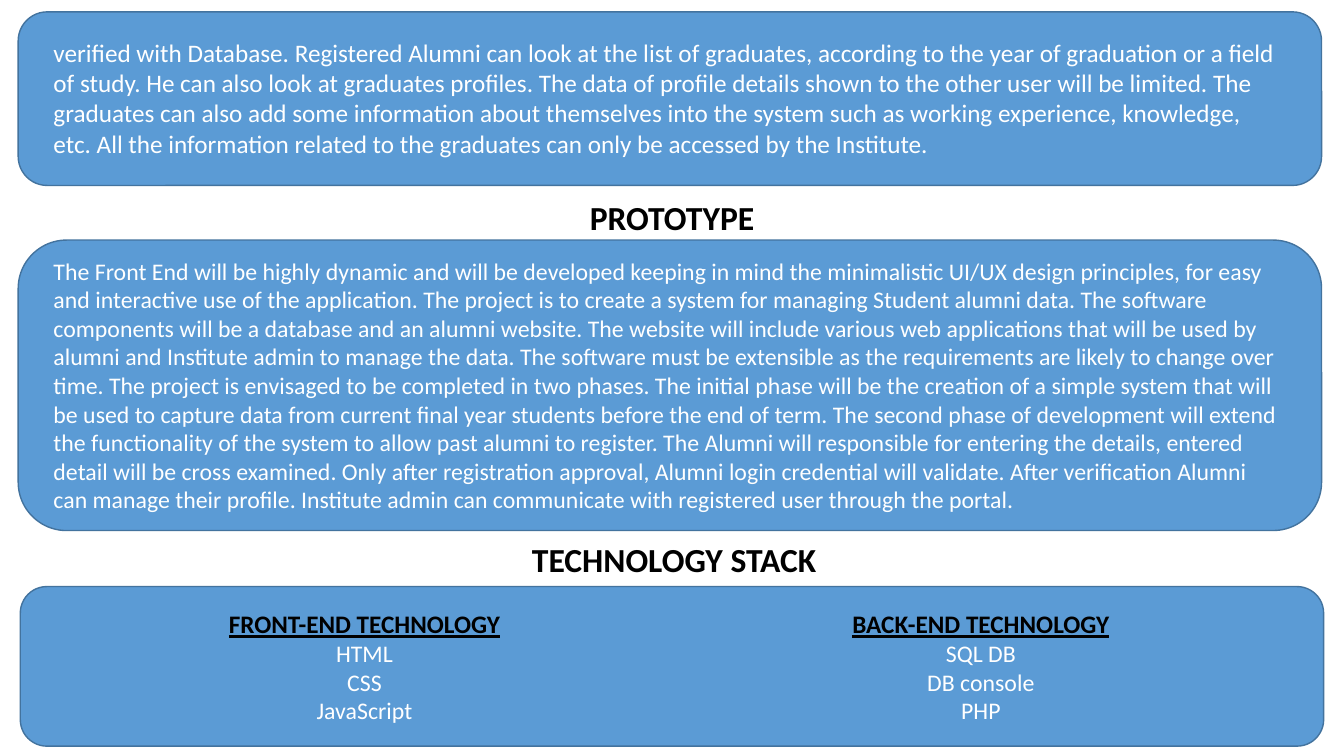
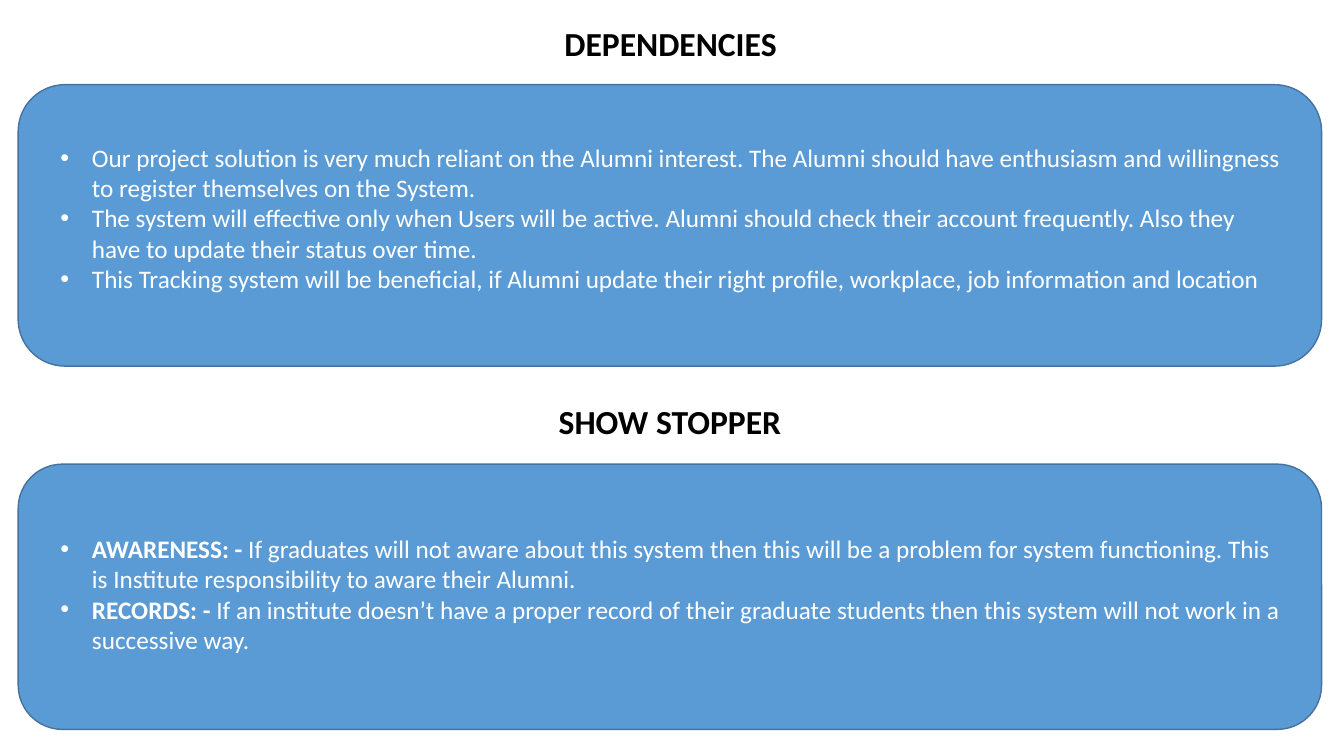
from lxml.etree import SubElement
from pptx import Presentation
from pptx.dml.color import RGBColor
from pptx.enum.shapes import MSO_SHAPE
from pptx.enum.text import MSO_ANCHOR, MSO_AUTO_SIZE, PP_ALIGN
from pptx.oxml.ns import qn
from pptx.util import Pt


def color(code):
    return RGBColor.from_string(code)


class Deck:
    font = "Calibri"
    fill = "5B9BD5"
    edge = "43739E"
    white = "FFFFFF"
    black = "000000"
    hang = 22.5
    width = 931
    styles = {
        "head": (24, black, True, False),
        "label": (18, black, True, True),
        "body": (18, white, False, False),
        "bold": (18, white, True, False),
        "small": (17, white, False, False),
    }

    def __init__(self):
        self.prs = Presentation()
        self.prs.slide_width = Pt(960)
        self.prs.slide_height = Pt(540)
        self.slide = None

    def start(self):
        self.slide = self.prs.slides.add_slide(self.prs.slide_layouts[4])
        self.slide.background.fill.solid()
        self.slide.background.fill.fore_color.rgb = color(self.white)

    def card(self, left, top, height):
        box = map(Pt, (left, top, self.width, height))
        card = self.slide.shapes.add_shape(MSO_SHAPE.ROUNDED_RECTANGLE, *box)
        card.shadow.inherit = False
        card.fill.solid()
        card.fill.fore_color.rgb = color(self.fill)
        card.line.color.rgb = color(self.edge)
        card.line.width = Pt(1)
        card.element.getparent().insert(2, card.element)

    def text(self, slot, box, paras, align=PP_ALIGN.LEFT, mark=None, cols=1):
        hold = self.slide.placeholders[slot]
        hold.left, hold.top, hold.width, hold.height = map(Pt, box)
        frame = hold.text_frame
        frame.word_wrap = True
        frame.auto_size = MSO_AUTO_SIZE.NONE
        frame.vertical_anchor = MSO_ANCHOR.TOP
        if cols > 1:
            frame._txBody.bodyPr.set("numCol", str(cols))
        for i, runs in enumerate(paras):
            para = frame.add_paragraph() if i else frame.paragraphs[0]
            para.alignment = align
            para.line_spacing = 1.0
            para.space_before = para.space_after = Pt(0)
            self.bullet(para, mark)
            for words, style in runs:
                self.run(para, words, style)

    def bullet(self, para, mark):
        props = para._p.get_or_add_pPr()
        hang = Pt(self.hang) if mark else 0
        props.set("marL", str(hang))
        props.set("indent", str(-hang))
        if mark:
            SubElement(props, qn("a:buFont")).set("typeface", "Arial")
            SubElement(props, qn("a:buChar")).set("char", mark)
        else:
            SubElement(props, qn("a:buNone"))

    def run(self, para, words, style):
        run = para.add_run()
        run.text = words
        font = run.font
        size, tint, font.bold, font.underline = self.styles[style]
        font.size = Pt(size)
        font.name = self.font
        font.color.rgb = color(tint)

    def head(self, slot, left, top, words):
        box = (left, top, self.width, 36)
        self.text(slot, box, [[(words, "head")]], PP_ALIGN.CENTER)

    def list(self, slot, top, height, paras):
        self.text(slot, (36, top, 886, height), paras, mark="•")

    def drop(self, slot):
        item = self.slide.placeholders[slot].element
        item.getparent().remove(item)

    def save(self):
        self.prs.save("out.pptx")


INTRO = (
    "verified with Database. Registered Alumni can look at the list of graduates, "
    "according to the year of graduation or a field of study. He can also look at "
    "graduates profiles. The data of profile details shown to the other user will "
    "be limited. The graduates can also add some information about themselves into "
    "the system such as working experience, knowledge, etc. All the information "
    "related to the graduates can only be accessed by the Institute."
)
PLAN = (
    "The Front End will be highly dynamic and will be developed keeping in mind the "
    "minimalistic UI/UX design principles, for easy and interactive use of the "
    "application. The project is to create a system for managing Student alumni "
    "data. The software components will be a database and an alumni website. The "
    "website will include various web applications that will be used by alumni and "
    "Institute admin to manage the data. The software must be extensible as the "
    "requirements are likely to change over time. ",
    "The project is envisaged to be completed in two phases. The initial phase will "
    "be the creation of a simple system that will be used to capture data from "
    "current final year students before the end of term. The second phase of "
    "development will extend the functionality of the system to allow past alumni "
    "to register. ",
    "The Alumni will responsible for entering the details, entered detail will be "
    "cross examined. Only after registration approval, Alumni login credential will "
    "validate. After verification Alumni can manage their profile. Institute admin "
    "can communicate with registered user through the portal.",
)
STACK = {
    "FRONT-END TECHNOLOGY": ("HTML", "CSS", "JavaScript"),
    "BACK-END TECHNOLOGY": ("SQL DB", "DB console", "PHP"),
}
NEEDS = (
    "Our project solution is very much reliant on the Alumni interest. The Alumni "
    "should have enthusiasm and willingness to register themselves on the System.",
    "The system will effective only when Users will be active. Alumni should check "
    "their account frequently. Also they have to update their status over time.",
    "This Tracking system will be beneficial, if Alumni update their right profile, "
    "workplace, job information and location",
)
RISKS = {
    "AWARENESS: - ": "If graduates will not aware about this system then this will "
    "be a problem for system functioning. This is Institute responsibility to aware "
    "their Alumni.",
    "RECORDS: - ": "If an institute doesn’t have a proper record of their graduate "
    "students then this system will not work in a successive way.",
}


def main():
    deck = Deck()

    deck.start()
    deck.card(13, 8.5, 124)
    deck.card(13, 171.5, 207.5)
    deck.card(14.5, 419, 114)
    deck.text(4, (31, 23, 893, 94), [[(INTRO, "body")]])
    deck.head(0, 14.5, 137, "PROTOTYPE")
    deck.text(2, (31, 179.5, 895, 193), [[(part, "small") for part in PLAN]])
    deck.head(1, 16, 381.5, "TECHNOLOGY STACK")
    stack = []
    for label, tools in STACK.items():
        stack.append([(label, "label")])
        stack += [[(tool, "small")] for tool in tools]
    deck.text(3, (33, 431, 895, 93), stack, PP_ALIGN.CENTER, cols=2)

    deck.start()
    deck.card(13, 60.5, 201)
    deck.card(13, 331.5, 189.5)
    deck.head(0, 13.5, 13, "DEPENDENCIES")
    deck.list(2, 98, 117, [[(need, "body")] for need in NEEDS])
    deck.head(1, 13, 283, "SHOW STOPPER")
    risks = [[(name, "bold"), (note, "body")] for name, note in RISKS.items()]
    deck.list(4, 377.5, 94, risks)
    deck.drop(3)

    deck.save()


if __name__ == "__main__":
    main()
